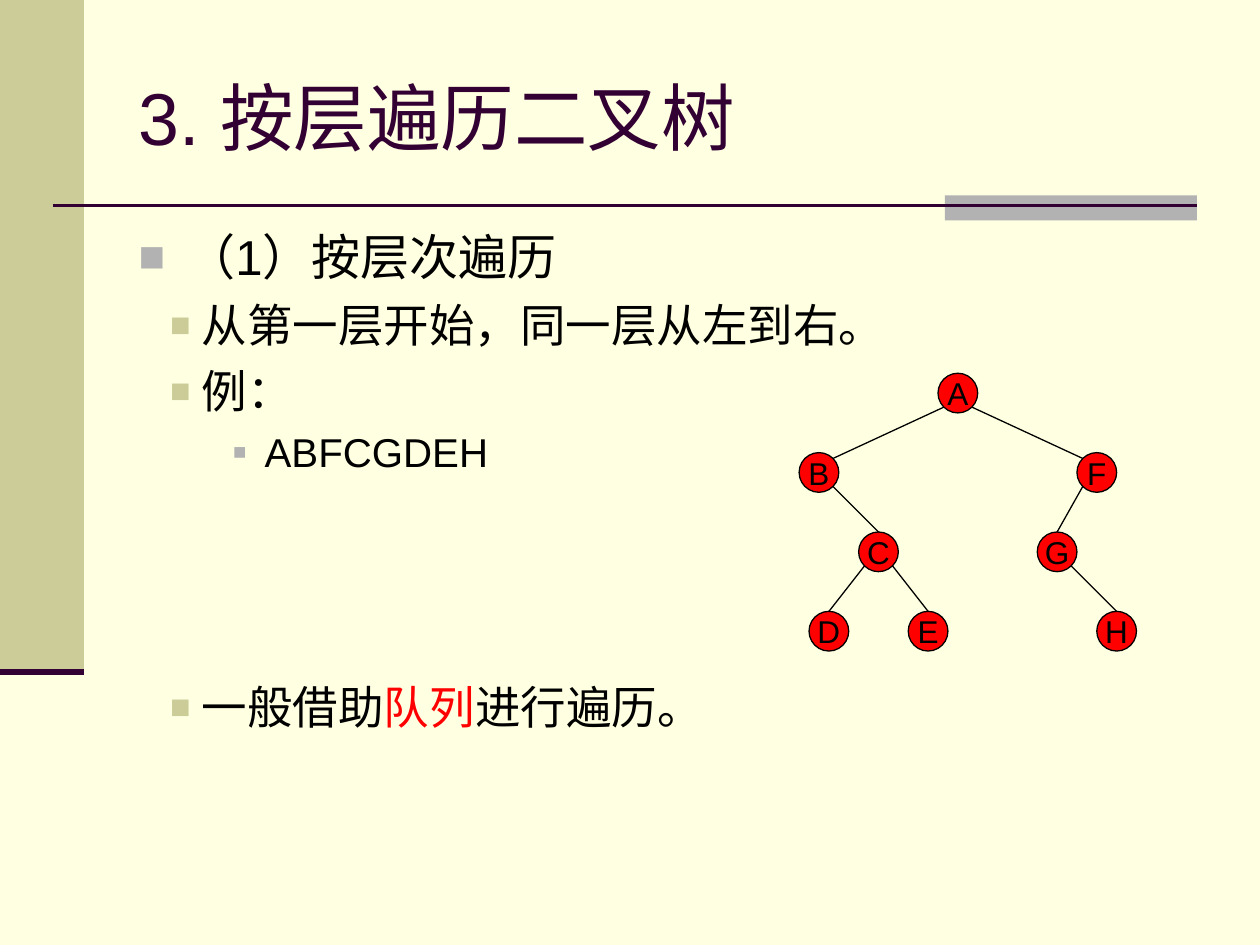
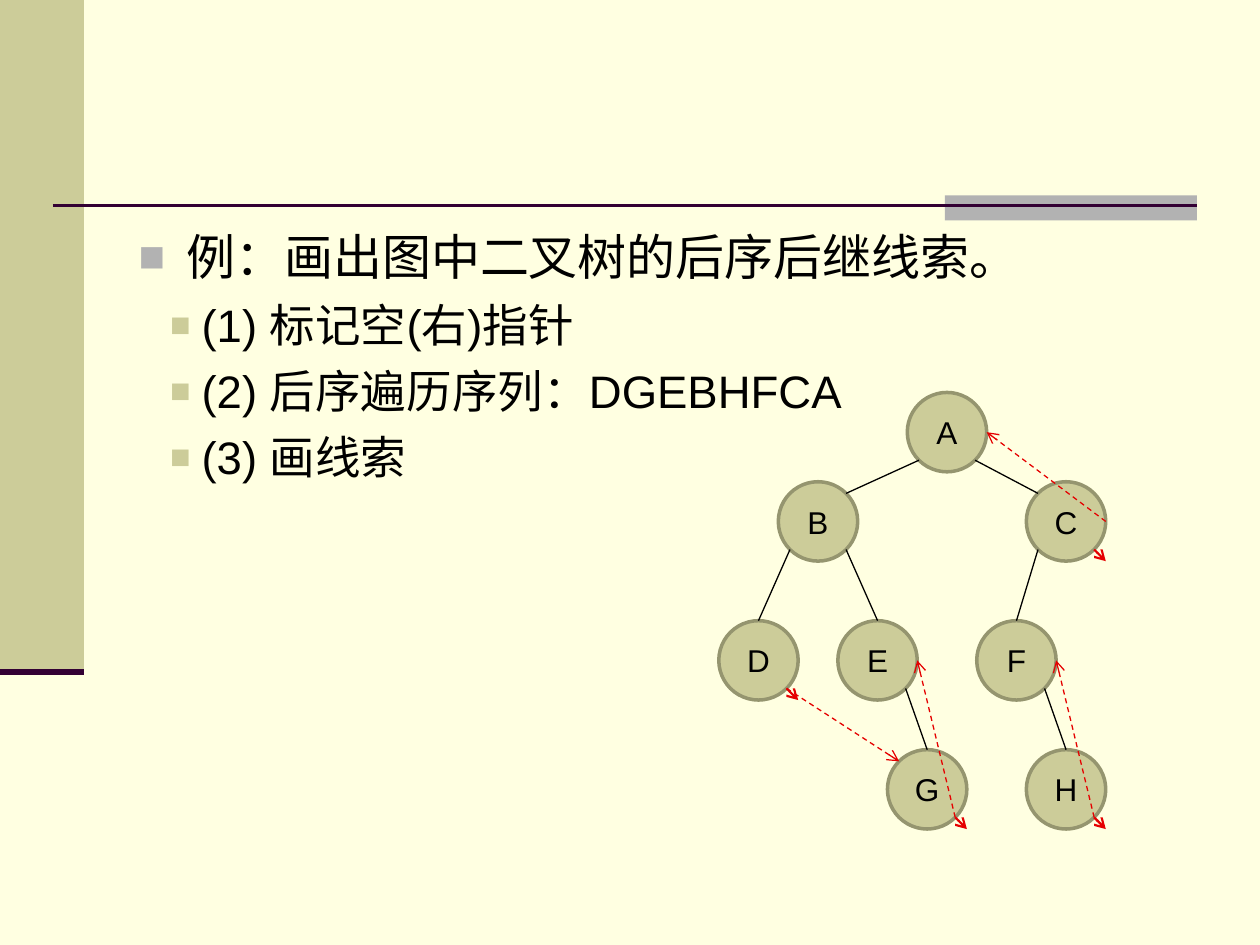
"""Builds two slides on traversing and threading binary trees."""
from math import sqrt

from lxml.etree import SubElement
from pptx import Presentation
from pptx.dml.color import RGBColor
from pptx.enum.dml import MSO_LINE
from pptx.enum.shapes import MSO_CONNECTOR, MSO_SHAPE
from pptx.enum.text import MSO_ANCHOR, MSO_AUTO_SIZE, PP_ALIGN
from pptx.oxml.ns import qn
from pptx.util import Inches, Pt

CREAM = RGBColor(0xFF, 0xFF, 0xE1)
KHAKI = RGBColor(0xCC, 0xCC, 0x99)
OLIVE = RGBColor(0x95, 0x95, 0x6F)
GREY = RGBColor(0xB2, 0xB2, 0xB2)
PLUM = RGBColor(0x33, 0x00, 0x33)
BLACK = RGBColor(0x00, 0x00, 0x00)
RED = RGBColor(0xFF, 0x00, 0x00)
CRIMSON = RGBColor(0xE5, 0x00, 0x00)

FONT = "Arial"
WIDE, HIGH = 10, 7.5
UNIT = 0.63 / 8
DIAG = sqrt(0.5)
TOP, RIGHT = (0, -1), (1, 0)
LOWER, UPPER, CORNER = (DIAG, DIAG), (-DIAG, -DIAG), (1, 1)

# Margin, hanging indent, space before, bullet share, bullet colour, text size
LEVELS = [
    (0.38, 0.38, 7, 90, GREY, 28),
    (0.5, 0.25, 6.5, 75, KHAKI, 26),
    (1, 0.25, 5.8, 55, GREY, 23),
]


def write(para, text, size=18, color=BLACK, align=None):
    """Add a run of text to a paragraph in the given format."""
    run = para.add_run()
    run.text = text
    run.font.name, run.font.size = FONT, Pt(size)
    run.font.color.rgb = color
    if align is not None:
        para.alignment = align


def shape(slide, kind, box, fill, edge=None, width=0.75):
    """Add a flat preset shape; box is left, top, width, height in inches."""
    item = slide.shapes.add_shape(kind, *map(Inches, box))
    item.shadow.inherit = False
    item.fill.solid()
    item.fill.fore_color.rgb = fill
    if edge is None:
        item.line.fill.background()
    else:
        item.line.color.rgb, item.line.width = edge, Pt(width)
    return item


def line(slide, start, end, color=BLACK, width=0.75, dash=False, arrow=False):
    """Add a straight connector between two points in inches."""
    item = slide.shapes.add_connector(
        MSO_CONNECTOR.STRAIGHT, *map(Inches, (*start, *end)))
    item.line.color.rgb, item.line.width = color, Pt(width)
    if dash:
        item.line.dash_style = MSO_LINE.DASH
    if arrow:
        SubElement(item.line._get_or_add_ln(), qn("a:tailEnd"), type="arrow")
    SubElement(item._element.spPr, qn("a:effectLst"))
    return item


def frame(slide):
    """Draw the side band, the title rule and their accents."""
    side, foot, rule = WIDE / 15, 5.33, 1.63
    shape(slide, MSO_SHAPE.RECTANGLE, (0, 0, side, foot), KHAKI)
    shape(slide, MSO_SHAPE.RECTANGLE, (WIDE * 0.75, 1.55, WIDE * 0.2, 0.2), GREY)
    line(slide, (0.42, rule), (WIDE * 0.95, rule), PLUM, 1.5)
    line(slide, (0, foot), (side, foot), PLUM, 3.5)


def place(holder, top, high, anchor):
    """Move a placeholder to the text column and fix its size."""
    holder.left, holder.width = Inches(WIDE * 0.1), Inches(WIDE * 0.85)
    holder.top, holder.height = Inches(top), Inches(high)
    text = holder.text_frame
    text.word_wrap, text.auto_size = True, MSO_AUTO_SIZE.NONE
    text.vertical_anchor = anchor
    return text


def bullet(para, level, gap=None):
    """Give a paragraph the indent, spacing and square bullet of its level."""
    left, hang, before, share, color, _ = LEVELS[level]
    para.level = level
    para.space_before = Pt(gap or before)
    props = para._p.get_or_add_pPr()
    props.set("marL", str(Inches(left)))
    props.set("indent", str(-Inches(hang)))
    tint = SubElement(props, qn("a:buClr"))
    SubElement(tint, qn("a:srgbClr"), val=str(color))
    SubElement(props, qn("a:buSzPct"), val=str(share * 1000))
    SubElement(props, qn("a:buFont"), typeface=FONT)
    SubElement(props, qn("a:buChar"), char="■")


def listing(slide, rows):
    """Fill the body with rows of level, coloured pieces and optional gap."""
    text = place(slide.placeholders[1], 1.75, 4.95, MSO_ANCHOR.TOP)
    for spot, (level, pieces, *gap) in enumerate(rows):
        para = text.add_paragraph() if spot else text.paragraphs[0]
        bullet(para, level, *gap)
        for piece, color in pieces:
            write(para, piece, size=LEVELS[level][-1], color=color)


def page(deck, title, rows):
    """Add a framed slide with a list and, if given, a title."""
    slide = deck.slides.add_slide(deck.slide_layouts[1])
    frame(slide)
    head = slide.shapes.title
    if title:
        text = place(head, 0.3, 1.25, MSO_ANCHOR.MIDDLE)
        write(text.paragraphs[0], title, size=42, color=PLUM, align=PP_ALIGN.LEFT)
    else:
        head._element.getparent().remove(head._element)
    listing(slide, rows)
    return slide


def point(node, way):
    """Return the point that lies from a node's centre along way, in radii."""
    half = node.width / 2
    return tuple((start + half * (1 + step)) / Inches(1)
                 for start, step in zip((node.left, node.top), way))


def tree(slide, origin, spots, links, size, **look):
    """Draw nodes at grid spots and join each parent to its children."""
    nodes = {}
    for name, (col, row) in spots.items():
        left, top = (base + (step - size / 2) * UNIT
                     for base, step in zip(origin, (col, row)))
        node = shape(slide, MSO_SHAPE.OVAL,
                     (left, top, size * UNIT, size * UNIT), **look)
        node.text_frame.word_wrap = False
        node.text_frame.vertical_anchor = MSO_ANCHOR.MIDDLE
        write(node.text_frame.paragraphs[0], name, align=PP_ALIGN.CENTER)
        nodes[name] = node
    root = links[0][0]
    for above, below in links:
        side = DIAG if spots[below][0] > spots[above][0] else -DIAG
        end = (-side, -DIAG) if above == root else TOP
        edge = line(slide, point(nodes[above], (side, DIAG)),
                    point(nodes[below], end))
        if end == TOP:
            edge.end_connect(nodes[below], 0)
    return nodes


def thread(slide, nodes, stubs, jumps):
    """Draw empty right pointers and the dashed successor threads."""
    for name in stubs:
        line(slide, point(nodes[name], LOWER), point(nodes[name], CORNER),
             CRIMSON, 1.25, arrow=True)
    for start, leave, end, enter in jumps:
        line(slide, point(nodes[start], leave), point(nodes[end], enter),
             CRIMSON, dash=True, arrow=True)


def plain(level, text):
    """Return a list row of one black piece."""
    return level, [(text, BLACK)]


def main():
    """Build and save the deck."""
    deck = Presentation()
    deck.slide_width, deck.slide_height = Inches(WIDE), Inches(HIGH)
    back = deck.slide_master.background.fill
    back.solid()
    back.fore_color.rgb = CREAM

    level = page(deck, "3. 按层遍历二叉树", [
        plain(0, "（1）按层次遍历"),
        plain(1, "从第一层开始，同一层从左到右。"),
        plain(1, "例："),
        plain(2, "ABFCGDEH"),
        (1, [("一般借助", BLACK), ("队列", RED), ("进行遍历。", BLACK)], 116),
    ])
    tree(level, (6.5, 3.12),
         {"A": (14, 0), "B": (0, 8), "F": (28, 8), "C": (6, 16),
          "G": (24, 16), "D": (1, 24), "E": (11, 24), "H": (30, 24)},
         ["AB", "AF", "BC", "CD", "CE", "FG", "GH"],
         size=4, fill=RED, edge=BLACK)

    post = page(deck, None, [
        plain(0, "例：画出图中二叉树的后序后继线索。"),
        plain(1, "(1) 标记空(右)指针"),
        plain(1, "(2) 后序遍历序列：DGEBHFCA"),
        plain(1, "(3) 画线索"),
    ])
    nodes = tree(post, (6.02, 3.43),
                 {"A": (19, 0), "B": (6, 9), "C": (31, 9), "D": (0, 23),
                  "E": (12, 23), "F": (26, 23), "G": (17, 36), "H": (31, 36)},
                 ["AB", "AC", "BD", "BE", "CF", "EG", "FH"],
                 size=8, fill=KHAKI, edge=OLIVE, width=2)
    thread(post, nodes, "DGHC", [
        ("D", LOWER, "G", UPPER), ("G", LOWER, "E", RIGHT),
        ("H", LOWER, "F", RIGHT), ("C", RIGHT, "A", RIGHT)])
    deck.save("out.pptx")


if __name__ == "__main__":
    main()
